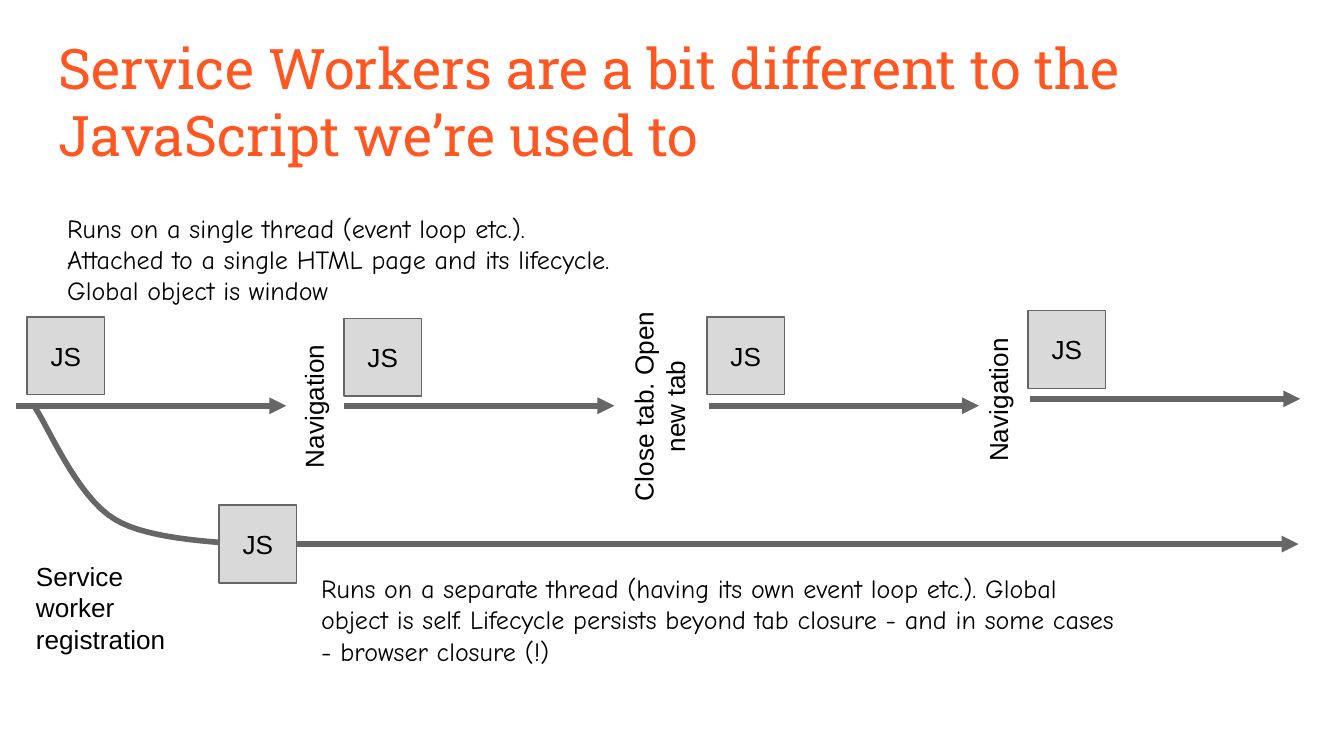
import pptx
import pptx.util
import pptx.dml.color
import pptx.enum.shapes
import pptx.enum.text
import pptx.oxml.ns
import lxml.etree

Cm = pptx.util.Cm
Pt = pptx.util.Pt
GREY = "666666"
SIDE = 1.47    # side of a JS box
SPAN = 5.11    # length of a page arrow


def color(code):
    return pptx.dml.color.RGBColor.from_string(code)


def write(shape, text, font="Arial", size=14, ink="000000", center=False):
    frame = shape.text_frame
    frame.word_wrap = True
    frame.margin_left = frame.margin_right = Cm(0.25)
    frame.margin_top = frame.margin_bottom = Cm(0.25)
    para = frame.paragraphs[0]
    if center:
        para.alignment = pptx.enum.text.PP_ALIGN.CENTER
    run = para.add_run()
    run.text = text
    run.font.name = font
    run.font.size = Pt(size)
    run.font.color.rgb = color(ink)


def label(slide, box, text, turn=0, **style):
    shape = slide.shapes.add_textbox(*map(Cm, box))
    shape.rotation = turn
    write(shape, text, **style)
    shape.text_frame.vertical_anchor = pptx.enum.text.MSO_ANCHOR.TOP


def script_box(slide, left, top):
    kind = pptx.enum.shapes.MSO_SHAPE.RECTANGLE
    shape = slide.shapes.add_shape(kind, Cm(left), Cm(top), Cm(SIDE), Cm(SIDE))
    shape.shadow.inherit = False
    shape.fill.solid()
    shape.fill.fore_color.rgb = color("D9D9D9")
    shape.line.color.rgb = color(GREY)
    shape.line.width = Pt(0.75)
    write(shape, "JS", center=True)
    shape.text_frame.vertical_anchor = pptx.enum.text.MSO_ANCHOR.MIDDLE
    return shape


def arrow(slide, left, top, right):
    kind = pptx.enum.shapes.MSO_CONNECTOR.STRAIGHT
    line = slide.shapes.add_connector(kind, Cm(left), Cm(top), Cm(right), Cm(top))
    line.line.color.rgb = color(GREY)
    line.line.width = Pt(3)
    name = pptx.oxml.ns.qn
    tail = lxml.etree.SubElement(line.line._get_or_add_ln(), name("a:tailEnd"))
    tail.set("type", "triangle")
    lxml.etree.SubElement(line._element.spPr, name("a:effectLst"))
    return line


def bend(start, one, two, end, steps=16):
    """Points along a cubic curve, after its start."""
    for step in range(1, steps + 1):
        t = step / steps
        u = 1 - t
        yield tuple(
            Cm(u**3 * a + 3 * u * u * t * b + 3 * u * t * t * c + t**3 * d)
            for a, b, c, d in zip(start, one, two, end))


def page(slide, left, top, shift, rise):
    """One page's life: its arrow and the script above it."""
    arrow(slide, left, top, left + SPAN)
    script_box(slide, left + shift, top - rise)


def event(slide, mid, top, text):
    """Upright label between two pages, centred on the given point."""
    wide, high = 4.09, 0.94
    box = (mid - wide / 2, top - high / 2, wide, high)
    label(slide, box, text, turn=270, center=True)


def branch(slide, left, top):
    """Curve that leaves the page lane for the worker lane."""
    nodes = [(0, 0), (0.25, 0.36), (0.79, 1.68), (1.5, 2.11),
             (2.18, 2.54), (3.68, 2.54), (4.14, 2.62)]
    nodes = [(left + x, top + y) for x, y in nodes]
    pen = slide.shapes.build_freeform(*map(Cm, nodes[0]), scale=1.0)
    for first in (0, 3):
        pen.add_line_segments(list(bend(*nodes[first:first + 4])), close=False)
    curve = pen.convert_to_shape()
    curve.shadow.inherit = False
    curve.fill.background()
    curve.line.color.rgb = color(GREY)
    curve.line.width = Pt(3)


def worker(slide, left, top, right):
    """The worker's script and its long arrow."""
    shape = script_box(slide, left, top)
    line = arrow(slide, left + SIDE, top + SIDE / 2, right)
    line.begin_connect(shape, 3)


def main():
    deck = pptx.Presentation()
    deck.slide_width, deck.slide_height = Cm(25.4), Cm(14.29)
    slide = deck.slides.add_slide(deck.slide_layouts[6])

    # Title
    label(slide, (0.86, 0.38, 23.67, 1.6),
          "Service Workers are a bit different to the JavaScript we’re used to",
          font="Roboto Slab", size=30, ink="FF5722")

    # Page lane
    for left, top, shift, rise in [(0.3, 7.67, 0.21, 1.68), (6.5, 7.67, 0, 1.65),
                                   (13.39, 7.67, -0.03, 1.68), (19.46, 7.54, -0.03, 1.67)]:
        page(slide, left, top, shift, rise)
    for mid, top, text in [(5.85, 7.68, "Navigation"),
                           (12.08, 7.68, "Close tab. Open new tab"),
                           (18.78, 7.56, "Navigation")]:
        event(slide, mid, top, text)

    # Worker lane
    branch(slide, 0.66, 7.7)
    worker(slide, 4.14, 9.55, 24.54)

    # Notes on both lanes
    label(slide, (0.43, 10.34, 3.35, 0.86), "Service worker registration")
    label(slide, (1.02, 3.76, 10.95, 1.47),
          "Runs on a single thread (event loop etc.). Attached to a single "
          "HTML page and its lifecycle. Global object is window",
          font="Comic Neue")
    label(slide, (5.82, 10.57, 15.52, 1.47),
          "Runs on a separate thread (having its own event loop etc.). Global "
          "object is self. Lifecycle persists beyond tab closure - and in some "
          "cases - browser closure (!)", font="Comic Neue")

    deck.save("out.pptx")


if __name__ == "__main__":
    main()
